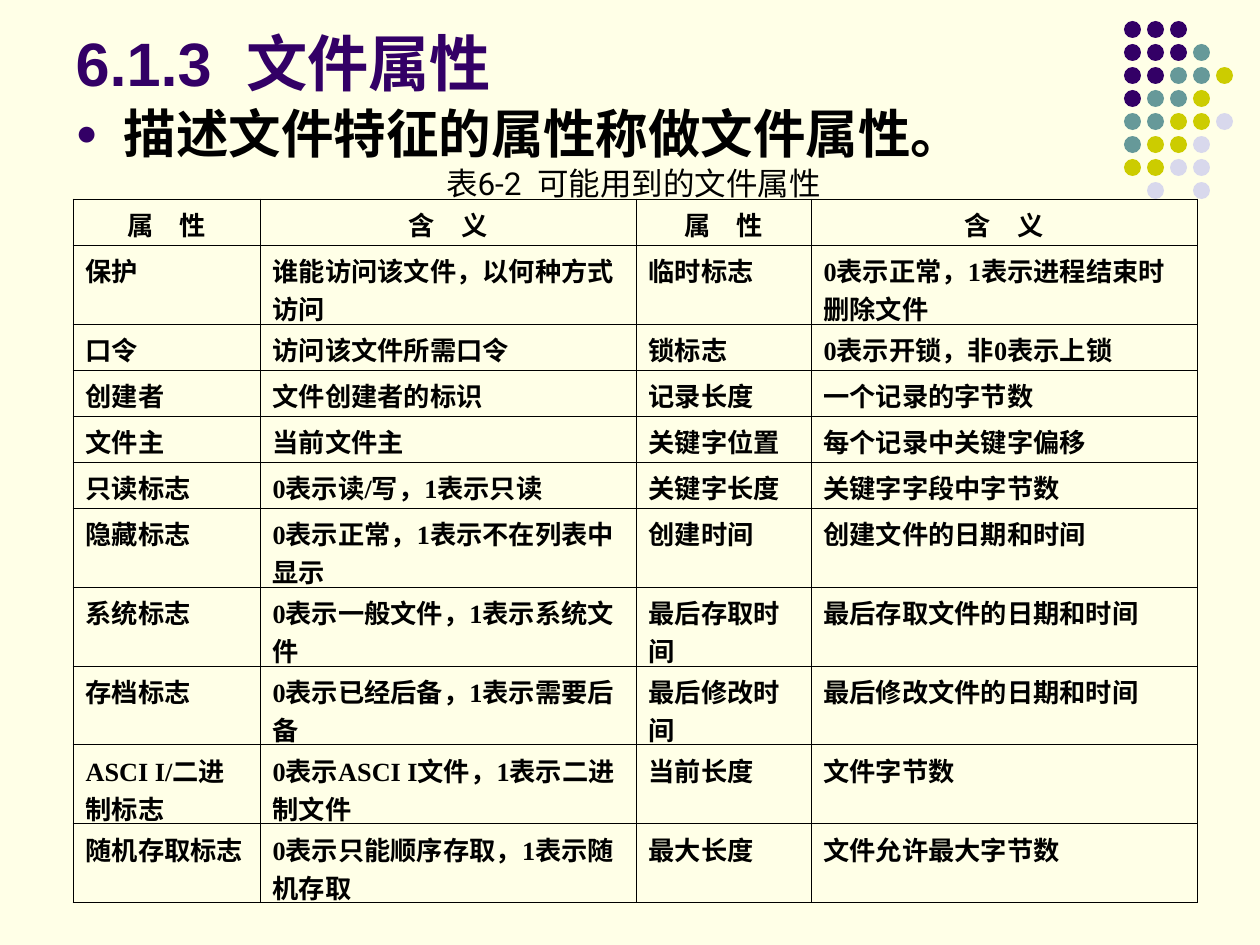
import pptx
import pptx.util
import pptx.dml.color
import pptx.enum.shapes
import pptx.enum.text
import pptx.oxml
import pptx.oxml.ns

RGB = pptx.dml.color.RGBColor
ALIGN = pptx.enum.text.PP_ALIGN
ANCHOR = pptx.enum.text.MSO_ANCHOR
FIT = pptx.enum.text.MSO_AUTO_SIZE

CREAM = RGB(0xFF, 0xFF, 0xE7)
PURPLE = RGB(0x33, 0x00, 0x66)
TEAL = RGB(0x66, 0x99, 0x99)
OLIVE = RGB(0xCC, 0xCC, 0x00)
PALE = RGB(0xD8, 0xD8, 0xEC)
BLACK = RGB(0, 0, 0)


def px(n):
    return pptx.util.Emu(round(n * 914400 / 126))


def write(frame, text, size, font="Arial", color=BLACK, bold=True,
          align=ALIGN.LEFT, anchor=ANCHOR.TOP):
    frame.vertical_anchor = anchor
    para = frame.paragraphs[0]
    para.alignment = align
    run = para.add_run()
    run.text = text
    run.font.size = pptx.util.Pt(size)
    run.font.name = font
    run.font.bold = bold
    run.font.color.rgb = color
    return para


deck = pptx.Presentation()
deck.slide_width, deck.slide_height = px(1260), px(945)
slide = deck.slides.add_slide(deck.slide_layouts[1])
slide.background.fill.solid()
slide.background.fill.fore_color.rgb = CREAM

tints = {"P": PURPLE, "T": TEAL, "O": OLIVE, "L": PALE}
dots = ["PPP", "PPPT", "PPTTO", "PTTO", "TTOOL", "TOOL", "OOLL", ".L.L"]
group = slide.shapes.add_group_shape()
for i, line in enumerate(dots):
    for j, key in enumerate(line):
        if key in tints:
            dot = group.shapes.add_shape(
                pptx.enum.shapes.MSO_SHAPE.OVAL,
                px(1124 + 23 * j), px(21 + 23 * i), px(17), px(17))
            dot.shadow.inherit = False
            dot.fill.solid()
            dot.fill.fore_color.rgb = tints[key]
            dot.line.fill.background()

title = slide.shapes.title
title.left, title.top, title.width, title.height = px(63), px(16), px(1040), px(89)
title.text_frame.auto_size = FIT.NONE
write(title.text_frame, "6.1.3  文件属性", 35, color=PURPLE, anchor=ANCHOR.BOTTOM)

body = slide.placeholders[1]
body.left, body.top, body.width, body.height = px(63), px(95), px(1134), px(746)
body.text_frame.auto_size = FIT.NONE
para = write(body.text_frame, "描述文件特征的属性称做文件属性。", 30)
para.space_before = pptx.util.Pt(7.5)
props = para._p.get_or_add_pPr()
props.set("marL", str(px(48)))
props.set("indent", str(-px(48)))
space = pptx.oxml.ns.nsdecls("a")
for mark in (f'<a:buClr {space}><a:srgbClr val="{PURPLE}"/></a:buClr>',
             f'<a:buSzPct {space} val="70000"/>',
             f'<a:buFont {space} typeface="Arial"/>',
             f'<a:buChar {space} char="●"/>'):
    props.append(pptx.oxml.parse_xml(mark))

label = slide.shapes.add_textbox(px(425), px(158), px(417), px(50))
label.text_frame.word_wrap = False
label.text_frame.auto_size = FIT.SHAPE_TO_FIT_TEXT
write(label.text_frame, "表6-2  可能用到的文件属性", 18, font="Roboto", bold=False,
      align=ALIGN.CENTER, anchor=ANCHOR.MIDDLE)

rows = [
    ("属　性", "含　义", "属　性", "含　义"),
    ("保护", "谁能访问该文件，以何种方式访问", "临时标志", "0表示正常，1表示进程结束时删除文件"),
    ("口令", "访问该文件所需口令", "锁标志", "0表示开锁，非0表示上锁"),
    ("创建者", "文件创建者的标识", "记录长度", "一个记录的字节数"),
    ("文件主", "当前文件主", "关键字位置", "每个记录中关键字偏移"),
    ("只读标志", "0表示读/写，1表示只读", "关键字长度", "关键字字段中字节数"),
    ("隐藏标志", "0表示正常，1表示不在列表中显示", "创建时间", "创建文件的日期和时间"),
    ("系统标志", "0表示一般文件，1表示系统文件", "最后存取时间", "最后存取文件的日期和时间"),
    ("存档标志", "0表示已经后备，1表示需要后备", "最后修改时间", "最后修改文件的日期和时间"),
    ("ASCI I/二进制标志", "0表示ASCI I文件，1表示二进制文件", "当前长度", "文件字节数"),
    ("随机存取标志", "0表示只能顺序存取，1表示随机存取", "最大长度", "文件允许最大字节数"),
]
wides = [187, 376, 175, 386]
talls = [46, 79] + [46] * 4 + [79] * 5
table = slide.shapes.add_table(len(rows), len(wides), px(73), px(199),
                               px(sum(wides)), px(sum(talls))).table
table.first_row = table.horz_banding = False
for col, wide in zip(table.columns, wides):
    col.width = px(wide)
for row, tall in zip(table.rows, talls):
    row.height = px(tall)
for i, line in enumerate(rows):
    for j, text in enumerate(line):
        cell = table.cell(i, j)
        write(cell.text_frame, text, 15, font="Times New Roman",
              align=ALIGN.LEFT if i else ALIGN.CENTER)
        cell.vertical_anchor = ANCHOR.MIDDLE if i == 0 and j < 2 else ANCHOR.TOP
        cell.fill.background()
        edges = cell._tc.get_or_add_tcPr()
        for k, side in enumerate(("lnL", "lnR", "lnT", "lnB")):
            edges.insert(k, pptx.oxml.parse_xml(
                f'<a:{side} {space} w="5715"><a:solidFill>'
                f'<a:srgbClr val="{BLACK}"/></a:solidFill></a:{side}>'))

deck.save("out.pptx")
